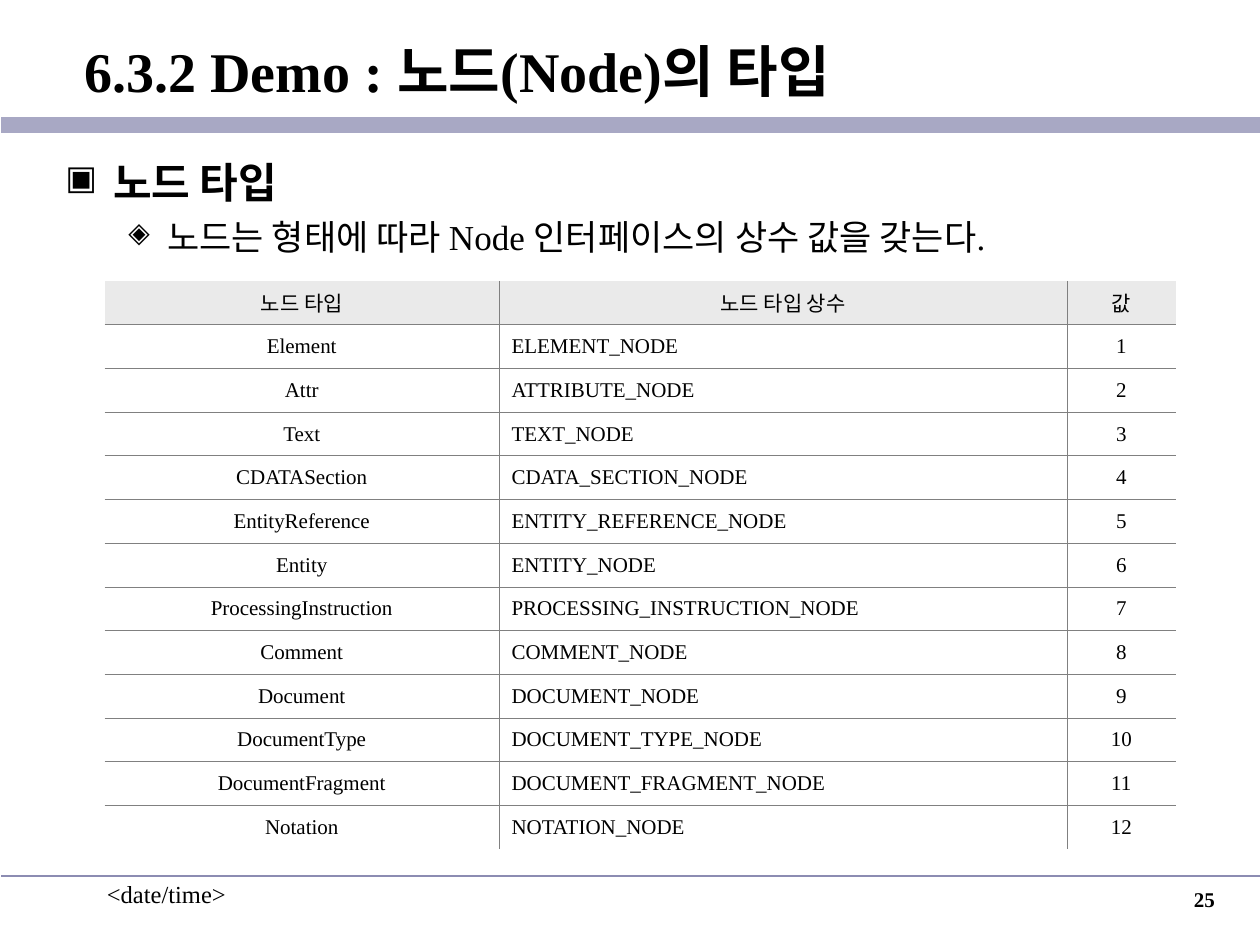
from lxml.etree import SubElement
from pptx import Presentation
from pptx.dml.color import RGBColor
from pptx.enum.shapes import MSO_CONNECTOR
from pptx.enum.text import MSO_ANCHOR, PP_ALIGN
from pptx.oxml.ns import qn
from pptx.util import Inches, Pt

FONT = "Times New Roman"
BLACK = RGBColor(0x00, 0x00, 0x00)
BAND = RGBColor(0xA8, 0xA8, 0xC4)
FOOTER_RULE = RGBColor(0x8C, 0x8C, 0xB2)
GRID = RGBColor(0x80, 0x80, 0x80)
HEADER_FILL = RGBColor(0xEA, 0xEA, 0xEA)

# Content
TITLE = "6.3.2 Demo : 노드(Node)의 타입"
# text, bullet, size, bold, level, left indent, hanging indent, space before
POINTS = [
    ("노드 타입", "▣", 24, True, 0, 0.38, 0.38, 6),
    ("노드는 형태에 따라 Node 인터페이스의 상수 값을 갖는다.", "◈", 20, False, 1, 0.81, 0.31, 5),
]
HEADINGS = ("노드 타입", "노드 타입 상수", "값")
NODE_TYPES = [
    ("Element", "ELEMENT_NODE"),
    ("Attr", "ATTRIBUTE_NODE"),
    ("Text", "TEXT_NODE"),
    ("CDATASection", "CDATA_SECTION_NODE"),
    ("EntityReference", "ENTITY_REFERENCE_NODE"),
    ("Entity", "ENTITY_NODE"),
    ("ProcessingInstruction", "PROCESSING_INSTRUCTION_NODE"),
    ("Comment", "COMMENT_NODE"),
    ("Document", "DOCUMENT_NODE"),
    ("DocumentType", "DOCUMENT_TYPE_NODE"),
    ("DocumentFragment", "DOCUMENT_FRAGMENT_NODE"),
    ("Notation", "NOTATION_NODE"),
]
COLUMN_WIDTHS = (3.13, 4.51, 0.86)
DATE = "<date/time>"
PAGE_NUMBER = "25"


def add_run(paragraph, text, size, bold=False):
    run = paragraph.add_run()
    run.text = text
    run.font.name = FONT
    run.font.size = Pt(size)
    run.font.bold = bold
    run.font.color.rgb = BLACK


def add_frame(slide, left, top, width, height):
    box = slide.shapes.add_textbox(Inches(left), Inches(top), Inches(width), Inches(height))
    box.text_frame.word_wrap = True
    return box.text_frame


def add_rule(slide, y, color, width):
    rule = slide.shapes.add_connector(
        MSO_CONNECTOR.STRAIGHT, Inches(0.01), Inches(y), Inches(10), Inches(y))
    rule.line.color.rgb = color
    rule.line.width = Pt(width)
    SubElement(rule._element.spPr, qn("a:effectLst"))


def set_bullet(paragraph, char, left, hanging):
    props = paragraph._p.get_or_add_pPr()
    props.set("marL", str(Inches(left)))
    props.set("indent", str(-Inches(hanging)))
    color = SubElement(props, qn("a:buClr"))
    SubElement(color, qn("a:srgbClr"), val=str(BLACK))
    SubElement(props, qn("a:buSzPct"), val="80000")
    SubElement(props, qn("a:buChar"), char=char)


def set_borders(cell, visible):
    props = cell._tc.get_or_add_tcPr()
    for side in "LRTB":
        border = SubElement(props, qn(f"a:ln{side}"), w=str(Pt(0.45)))
        if side in visible:
            fill = SubElement(border, qn("a:solidFill"))
            SubElement(fill, qn("a:srgbClr"), val=str(GRID))
        else:
            SubElement(border, qn("a:noFill"))


def add_node_table(slide):
    rows = [HEADINGS] + [(*names, str(value)) for value, names in enumerate(NODE_TYPES, 1)]
    last_row, last_column = len(rows) - 1, len(HEADINGS) - 1
    table = slide.shapes.add_table(
        len(rows), len(HEADINGS), Inches(0.83), Inches(2.23), Inches(8.5), Inches(4.51)).table
    table.first_row = table.horz_banding = False
    for column, width in zip(table.columns, COLUMN_WIDTHS):
        column.width = Inches(width)

    for r, row in enumerate(rows):
        for c, text in enumerate(row):
            cell = table.cell(r, c)
            cell.vertical_anchor = MSO_ANCHOR.MIDDLE
            # Only the inner grid lines show
            inner = {"L": c > 0, "R": c < last_column, "T": r > 0, "B": r < last_row}
            set_borders(cell, [side for side, shown in inner.items() if shown])
            if r == 0:
                cell.fill.solid()
                cell.fill.fore_color.rgb = HEADER_FILL
            else:
                cell.fill.background()
            paragraph = cell.text_frame.paragraphs[0]
            constant = r > 0 and c == 1
            paragraph.alignment = PP_ALIGN.LEFT if constant else PP_ALIGN.CENTER
            paragraph.space_before = Pt(3)
            add_run(paragraph, text, 12)


def main():
    prs = Presentation()
    prs.slide_width, prs.slide_height = Inches(10), Inches(7.5)
    slide = prs.slides.add_slide(prs.slide_layouts[6])

    # Rules under the title and above the footer
    add_rule(slide, 0.99, BAND, 9.25)
    add_rule(slide, 6.95, FOOTER_RULE, 1)

    # Title
    title = add_frame(slide, 0.01, 0.11, 9.99, 0.9)
    title.margin_left = Inches(0.66)
    title.vertical_anchor = MSO_ANCHOR.MIDDLE
    add_run(title.paragraphs[0], TITLE, 32, True)

    # Bullet points
    body = add_frame(slide, 0.42, 1.19, 9.16, 5.71)
    for i, (text, bullet, size, bold, level, left, hanging, before) in enumerate(POINTS):
        paragraph = body.add_paragraph() if i else body.paragraphs[0]
        paragraph.level = level
        paragraph.space_before = Pt(before)
        set_bullet(paragraph, bullet, left, hanging)
        add_run(paragraph, text, size, bold)

    add_node_table(slide)

    # Footer
    date = add_frame(slide, 0.75, 6.93, 2.08, 0.5)
    add_run(date.paragraphs[0], DATE, 14)
    page = add_frame(slide, 7.66, 6.99, 2.08, 0.5).paragraphs[0]
    page.alignment = PP_ALIGN.RIGHT
    add_run(page, PAGE_NUMBER, 12, True)

    prs.save("out.pptx")


if __name__ == "__main__":
    main()
